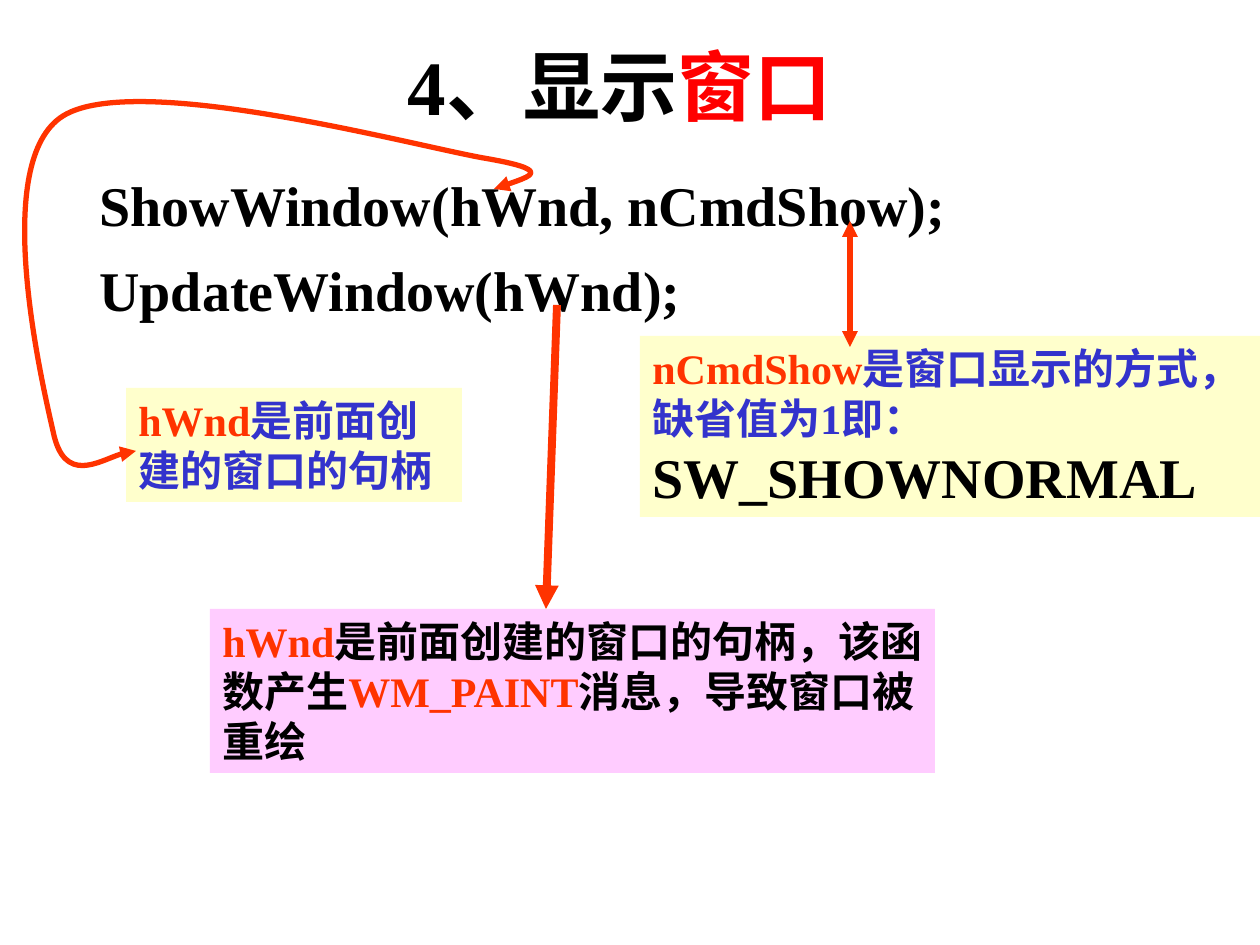
from pptx import Presentation
from pptx import util as u
from pptx.dml.color import RGBColor
from pptx.enum import shapes, text
from pptx.oxml.ns import qn
from lxml import etree

PX = 914400 / 126
FONT = "Times New Roman"
BLACK = RGBColor(0, 0, 0)
RED = RGBColor(0xFF, 0, 0)
ORANGE = RGBColor(0xFF, 0x33, 0)
BLUE = RGBColor(0x33, 0x33, 0xCC)
YELLOW = RGBColor(0xFF, 0xFF, 0xCC)
PINK = RGBColor(0xFF, 0xCC, 0xFF)

TITLE = [("4、显示", 44, BLACK), ("窗口", 44, RED)]
TITLE_AREA = (84, 32, 1071, 105)
CODE = [" ShowWindow(hWnd, nCmdShow);", " UpdateWindow(hWnd);"]
CODE_AREA = (73, 158, 1134, 756)
NOTES = [
    ((126, 388, 336, 114), YELLOW,
     [("hWnd", 24, ORANGE), ("是前面创建的窗口的句柄", 24, BLUE)]),
    ((640, 336, 620, 181), YELLOW,
     [("nCmdShow", 24, ORANGE), ("是窗口显示的方式，缺省值为1即：", 24, BLUE),
      ("SW_SHOWNORMAL", 32, BLACK)]),
    ((210, 609, 725, 164), PINK,
     [("hWnd", 24, ORANGE), ("是前面创建的窗口的句柄，该函数产生", 24, BLACK),
      ("WM_PAINT", 24, ORANGE), ("消息，导致窗口被重绘", 24, BLACK)]),
]
ARROWS = [
    ((850, 347), (850, 221), 3, ("headEnd", "tailEnd")),
    ((557, 305), (546, 609), 4.5, ("tailEnd",)),
]
CURVE_START = (494, 189)
CURVE_CONTROLS = [
    (524, 179), (554, 170), (483, 158),
    (411, 145), (135, 71), (63, 116),
    (-9, 161), (40, 374), (53, 431),
    (64, 486), (122, 449), (136, 451),
]


def emu(*lengths):
    return [u.Emu(round(length * PX)) for length in lengths]


def place(shape, area):
    shape.left, shape.top, shape.width, shape.height = emu(*area)


def write(para, spans):
    for words, size, color in spans:
        span = para.add_run()
        span.text = words
        span.font.name = FONT
        span.font.size = u.Pt(size)
        span.font.bold = True
        span.font.color.rgb = color


def style_line(shape, width, ends):
    shape.line.color.rgb = ORANGE
    shape.line.width = u.Pt(width)
    line = shape.line._get_or_add_ln()
    for end in ends:
        etree.SubElement(line, qn(f"a:{end}"), type="triangle")


def add_note(page, area, fill, spans):
    box = page.shapes.add_shape(shapes.MSO_SHAPE.RECTANGLE, *emu(*area))
    box.shadow.inherit = False
    box.fill.solid()
    box.fill.fore_color.rgb = fill
    box.line.fill.background()
    frame = box.text_frame
    frame.word_wrap = True
    frame.vertical_anchor = text.MSO_ANCHOR.TOP
    para = frame.paragraphs[0]
    para.alignment = text.PP_ALIGN.LEFT
    write(para, spans)


def add_curve(page):
    builder = page.shapes.build_freeform(*CURVE_START, scale=PX)
    builder.add_line_segments(CURVE_CONTROLS, close=False)
    curve = builder.convert_to_shape()
    curve.shadow.inherit = False
    curve.fill.background()
    style_line(curve, 3, ("headEnd", "tailEnd"))
    segments = list(curve._element.iter(qn("a:lnTo")))
    for first in range(0, len(segments), 3):
        bezier = etree.Element(qn("a:cubicBezTo"))
        segments[first].addprevious(bezier)
        for segment in segments[first:first + 3]:
            bezier.append(segment[0])
            segment.getparent().remove(segment)


def add_arrow(page, start, finish, width, ends):
    arrow = page.shapes.add_connector(
        shapes.MSO_CONNECTOR.STRAIGHT, *emu(*start, *finish))
    style_line(arrow, width, ends)
    etree.SubElement(arrow._element.spPr, qn("a:effectLst"))


def main():
    deck = Presentation()
    deck.slide_width, deck.slide_height = emu(1260, 945)
    page = deck.slides.add_slide(deck.slide_layouts[5])

    title = page.shapes.title
    place(title, TITLE_AREA)
    title.text_frame.auto_size = text.MSO_AUTO_SIZE.NONE
    title.text_frame.vertical_anchor = text.MSO_ANCHOR.MIDDLE
    title.text_frame.paragraphs[0].alignment = text.PP_ALIGN.CENTER
    write(title.text_frame.paragraphs[0], TITLE)

    code = page.shapes.add_textbox(*emu(*CODE_AREA)).text_frame
    code.word_wrap = True
    code.margin_top = emu(13)[0]
    for index, words in enumerate(CODE):
        para = code.add_paragraph() if index else code.paragraphs[0]
        if index:
            para.space_before = u.Pt(10)
        write(para, [(words, 32, BLACK)])

    for note in NOTES:
        add_note(page, *note)
    add_curve(page)
    for arrow in ARROWS:
        add_arrow(page, *arrow)
    deck.save("out.pptx")


if __name__ == "__main__":
    main()
